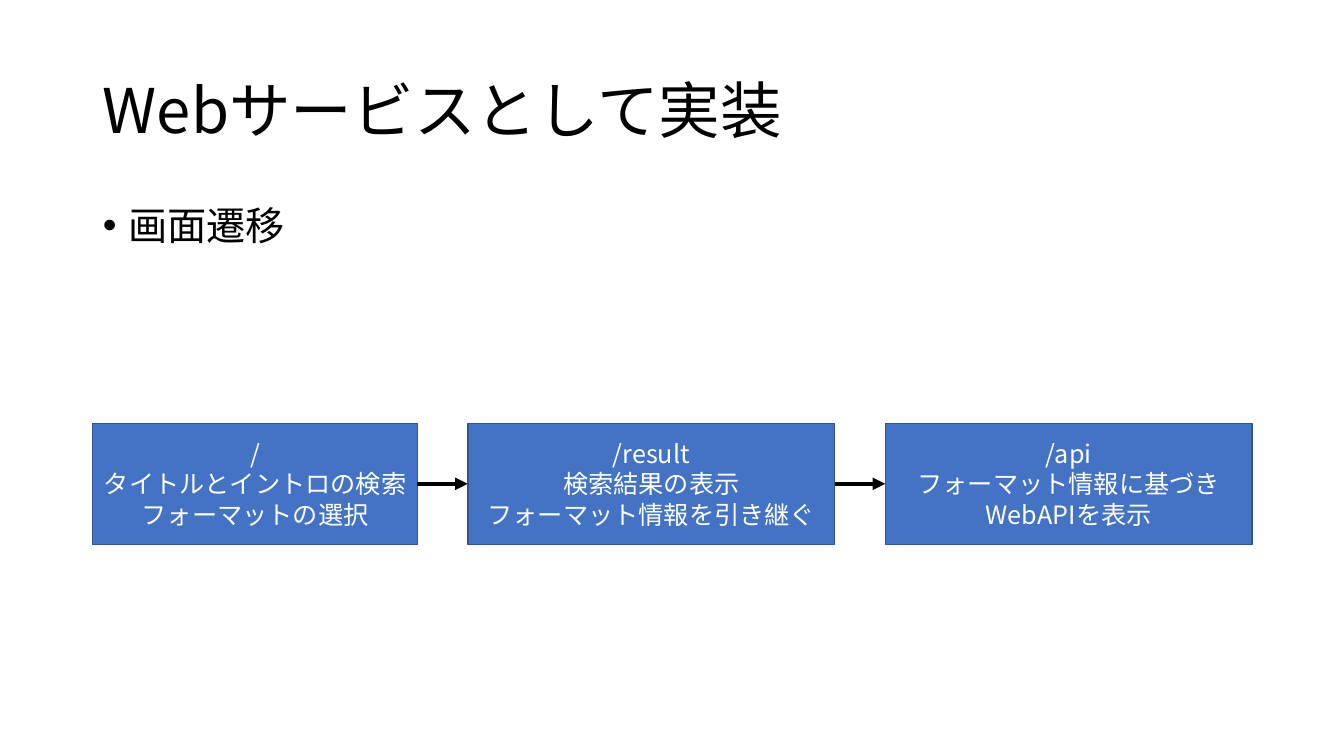
from dataclasses import dataclass

from lxml import etree
from pptx import Presentation
from pptx.dml.color import RGBColor
from pptx.enum.shapes import MSO_CONNECTOR, MSO_SHAPE
from pptx.enum.text import MSO_ANCHOR, MSO_AUTO_SIZE, PP_ALIGN
from pptx.oxml.ns import qn
from pptx.util import Inches, Pt

RECTANGLE = MSO_SHAPE.RECTANGLE
STRAIGHT = MSO_CONNECTOR.STRAIGHT
MIDDLE, TOP = MSO_ANCHOR.MIDDLE, MSO_ANCHOR.TOP
LEFT, CENTER = PP_ALIGN.LEFT, PP_ALIGN.CENTER
NO_FIT = MSO_AUTO_SIZE.NONE
LEFT_SIDE, RIGHT_SIDE = 1, 3


@dataclass(frozen=True)
class Theme:
    font: str = "Noto Sans CJK JP"
    ink: str = "000000"
    fill: str = "4472C4"
    outline: str = "325491"
    light: str = "FFFFFF"
    title_size: int = 44
    body_size: int = 28
    box_size: int = 18
    outline_width: int = 1
    arrow_width: int = 3


THEME = Theme()

# Page grid, in inches
PAGE_WIDTH, PAGE_HEIGHT = 13.33, 7.5
MARGIN = 0.92
CONTENT_WIDTH = 11.5
BOX_TOP, BOX_HEIGHT = 4.2, 1.2
BOX_GAP = 0.5
BULLET_INDENT = 0.25

# Screens in order of transition: width and lines of text
SCREENS = [
    (3.22, ["/", "タイトルとイントロの検索", "フォーマットの選択"]),
    (3.64, ["/result", "検索結果の表示", "フォーマット情報を引き継ぐ"]),
    (3.64, ["/api", "フォーマット情報に基づき", "WebAPIを表示"]),
]


def colour(value):
    return RGBColor.from_string(value)


def style_paragraph(para, size, text_colour, alignment):
    para.alignment = alignment
    para.font.size = Pt(size)
    para.font.color.rgb = colour(text_colour)
    para.font.name = THEME.font
    # Japanese glyphs take their own typeface entry
    properties = para._p.pPr.find(qn("a:defRPr"))
    etree.SubElement(properties, qn("a:ea")).set("typeface", THEME.font)


def fill_placeholder(holder, text, top, height, size, anchor):
    holder.left, holder.top = Inches(MARGIN), Inches(top)
    holder.width, holder.height = Inches(CONTENT_WIDTH), Inches(height)
    frame = holder.text_frame
    frame.text = text
    frame.auto_size = NO_FIT
    frame.vertical_anchor = anchor
    para = frame.paragraphs[0]
    para.line_spacing = 0.9
    style_paragraph(para, size, THEME.ink, LEFT)
    return para


def add_title(page, text):
    para = fill_placeholder(page.shapes.title, text, 0.4, 1.45,
                            THEME.title_size, MIDDLE)
    para.space_before = Pt(0)


def add_bullet(page, text):
    para = fill_placeholder(page.placeholders[1], text, 2, 4.76,
                            THEME.body_size, TOP)
    para.space_before = Pt(10)
    properties = para._p.get_or_add_pPr()
    properties.set("marL", str(Inches(BULLET_INDENT)))
    properties.set("indent", str(-Inches(BULLET_INDENT)))


def add_screen(page, left, width, lines):
    box = page.shapes.add_shape(RECTANGLE, Inches(left), Inches(BOX_TOP),
                                Inches(width), Inches(BOX_HEIGHT))
    box.shadow.inherit = False
    box.fill.solid()
    box.fill.fore_color.rgb = colour(THEME.fill)
    box.line.color.rgb = colour(THEME.outline)
    box.line.width = Pt(THEME.outline_width)
    frame = box.text_frame
    frame.word_wrap = True
    frame.vertical_anchor = MIDDLE
    frame.text = "\n".join(lines)
    for para in frame.paragraphs:
        style_paragraph(para, THEME.box_size, THEME.light, CENTER)
    return box


def add_arrow(page, source, target):
    arrow = page.shapes.add_connector(STRAIGHT, 0, 0, 0, 0)
    arrow.begin_connect(source, RIGHT_SIDE)
    arrow.end_connect(target, LEFT_SIDE)
    arrow.line.color.rgb = colour(THEME.ink)
    arrow.line.width = Pt(THEME.arrow_width)
    # Arrowhead at the target, and no shadow
    etree.SubElement(arrow.line._get_or_add_ln(),
                     qn("a:tailEnd")).set("type", "triangle")
    etree.SubElement(arrow._element.spPr, qn("a:effectLst"))


def add_flow(page, screens):
    boxes, left = [], MARGIN
    for width, lines in screens:
        boxes.append(add_screen(page, left, width, lines))
        left += width + BOX_GAP
    for source, target in zip(boxes, boxes[1:]):
        add_arrow(page, source, target)


def main():
    deck = Presentation()
    deck.slide_width, deck.slide_height = Inches(PAGE_WIDTH), Inches(PAGE_HEIGHT)
    page = deck.slides.add_slide(deck.slide_layouts[1])
    add_title(page, "Webサービスとして実装")
    add_bullet(page, "画面遷移")
    add_flow(page, SCREENS)
    deck.save("out.pptx")


if __name__ == "__main__":
    main()
